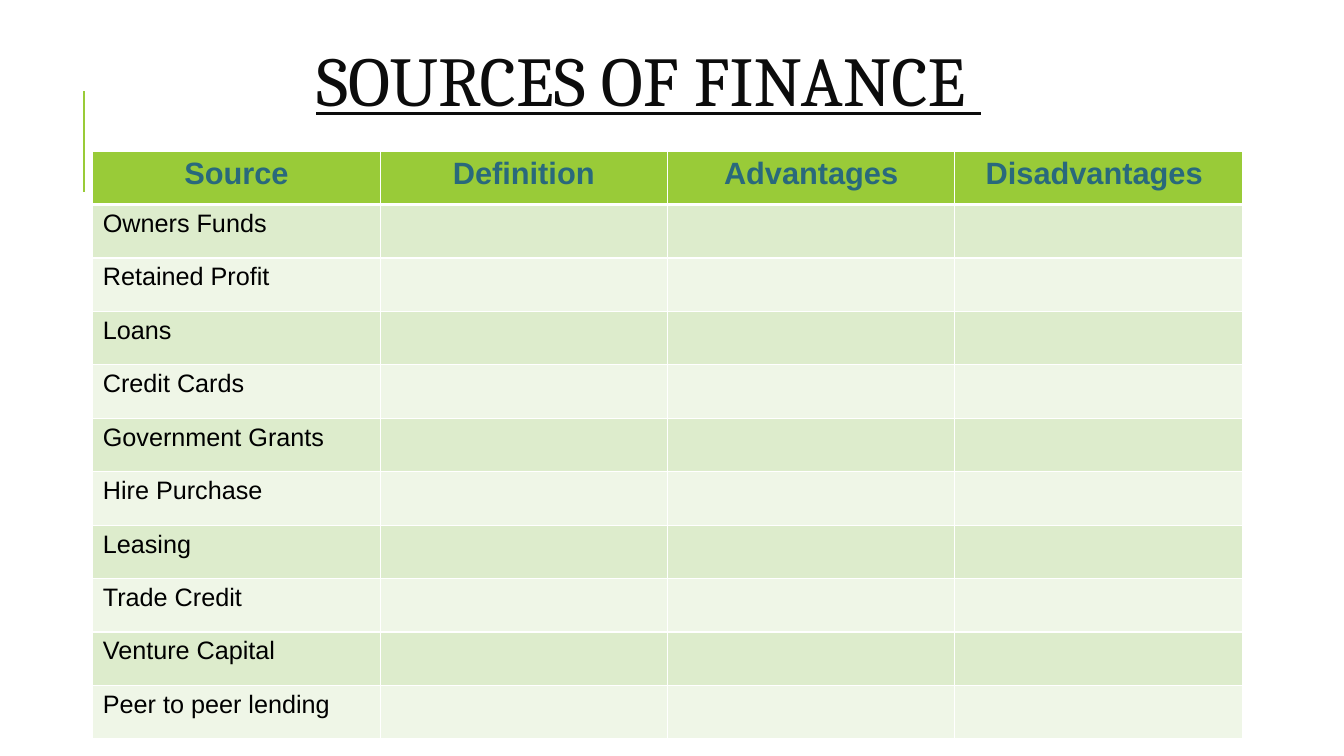
import pptx
import pptx.dml.color
import pptx.enum.shapes
import pptx.enum.text
import pptx.oxml
import pptx.oxml.ns
import pptx.util
from lxml import etree

Inches = pptx.util.Inches
Pt = pptx.util.Pt
ALIGN = pptx.enum.text.PP_ALIGN
ANCHOR = pptx.enum.text.MSO_ANCHOR

COLOURS = {
    "accent": "99CB38",
    "band_dark": "DDECCC",
    "band_light": "EFF6E7",
    "heading": "29697C",
    "title": "0C0C0C",
    "body": "000000",
    "rule": "FFFFFF",
}

# Table grid, in inches
LEFT, TOP = 0.92, 1.5
COLUMN, ROW = 2.85, 0.53

HEADINGS = ["Source", "Definition", "Advantages", "Disadvantages "]
SOURCES = [
    "Owners Funds", "Retained Profit", "Loans", "Credit Cards",
    "Government Grants", "Hire Purchase", "Leasing", "Trade Credit",
    "Venture Capital", "Peer to peer lending",
]


def rgb(name):
    return pptx.dml.color.RGBColor.from_string(COLOURS[name])


def add_run(paragraph, text, font, size, colour, bold=False, underline=False):
    run = paragraph.add_run()
    run.text = text
    run.font.name = font
    run.font.size = Pt(size)
    run.font.color.rgb = rgb(colour)
    run.font.bold = bold
    run.font.underline = underline


def set_borders(cell, widths):
    """Draw the cell's rules; widths maps each side (L, R, T, B) to points."""
    properties = cell._tc.get_or_add_tcPr()
    for position, (side, width) in enumerate(widths.items()):
        border = pptx.oxml.parse_xml(
            f'<a:ln{side} {pptx.oxml.ns.nsdecls("a")} w="{Pt(width)}">'
            f'<a:solidFill><a:srgbClr val="{COLOURS["rule"]}"/></a:solidFill>'
            f'</a:ln{side}>')
        properties.insert(position, border)


def add_title(slide, text):
    title = slide.shapes.title
    title.left, title.top = Inches(1.12), Inches(0.21)
    title.width, title.height = Inches(10.63), Inches(1.29)
    frame = title.text_frame
    frame.word_wrap = True
    frame.vertical_anchor = ANCHOR.MIDDLE
    paragraph = frame.paragraphs[0]
    paragraph.alignment = ALIGN.CENTER
    paragraph.line_spacing = 0.8
    add_run(paragraph, text, "Cambria", 50, "title", underline=True)


def add_accent_line(slide, x, top, bottom):
    accent = slide.shapes.add_connector(
        pptx.enum.shapes.MSO_CONNECTOR.STRAIGHT,
        Inches(x), Inches(bottom), Inches(x), Inches(top))
    accent.line.color.rgb = rgb("accent")
    accent.line.width = Pt(1.5)
    etree.SubElement(accent._element.spPr, pptx.oxml.ns.qn("a:effectLst"))


def add_finance_table(slide):
    row_count, column_count = len(SOURCES) + 1, len(HEADINGS)
    table = slide.shapes.add_table(
        row_count, column_count, Inches(LEFT), Inches(TOP),
        Inches(COLUMN * column_count), Inches(ROW * row_count)).table
    for column in table.columns:
        column.width = Inches(COLUMN)
    for row in table.rows:
        row.height = Inches(ROW)

    # Bands and rules, with a heavier rule under the headings
    for r in range(row_count):
        band = "accent" if r == 0 else "band_dark" if r % 2 else "band_light"
        for c in range(column_count):
            cell = table.cell(r, c)
            cell.fill.solid()
            cell.fill.fore_color.rgb = rgb(band)
            set_borders(cell, {"L": 1, "R": 1, "T": 3 if r == 1 else 1,
                               "B": 3 if r == 0 else 1})

    # Headings across, sources down
    for c, heading in enumerate(HEADINGS):
        paragraph = table.cell(0, c).text_frame.paragraphs[0]
        paragraph.alignment = ALIGN.CENTER
        add_run(paragraph, heading, "Arial", 22, "heading", bold=True)
    for r, source in enumerate(SOURCES, start=1):
        paragraph = table.cell(r, 0).text_frame.paragraphs[0]
        add_run(paragraph, source, "Arial", 18, "body")


def main():
    deck = pptx.Presentation()
    deck.slide_width, deck.slide_height = Inches(13.33), Inches(7.5)
    slide = deck.slides.add_slide(deck.slide_layouts[5])
    add_accent_line(slide, 0.83, 0.9, 1.9)
    add_title(slide, "SOURCES OF FINANCE ")
    add_finance_table(slide)
    deck.save("out.pptx")


if __name__ == "__main__":
    main()
